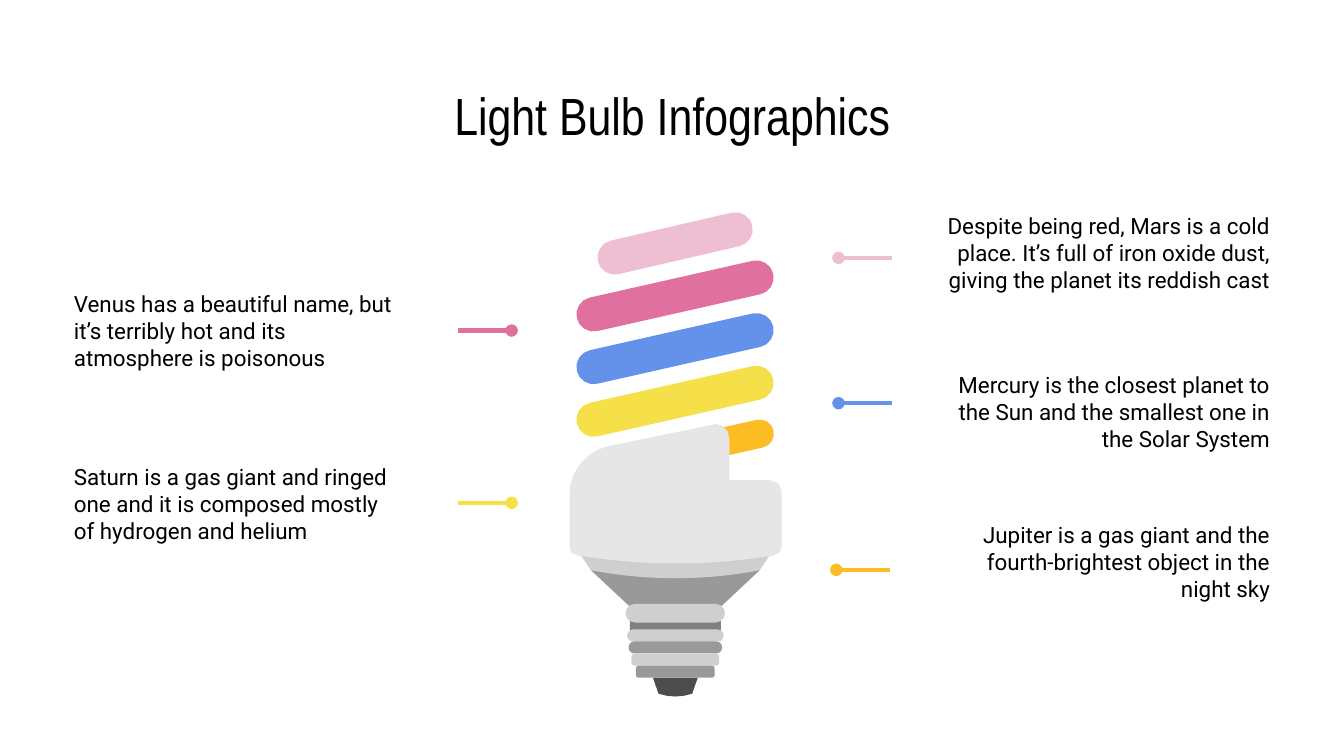
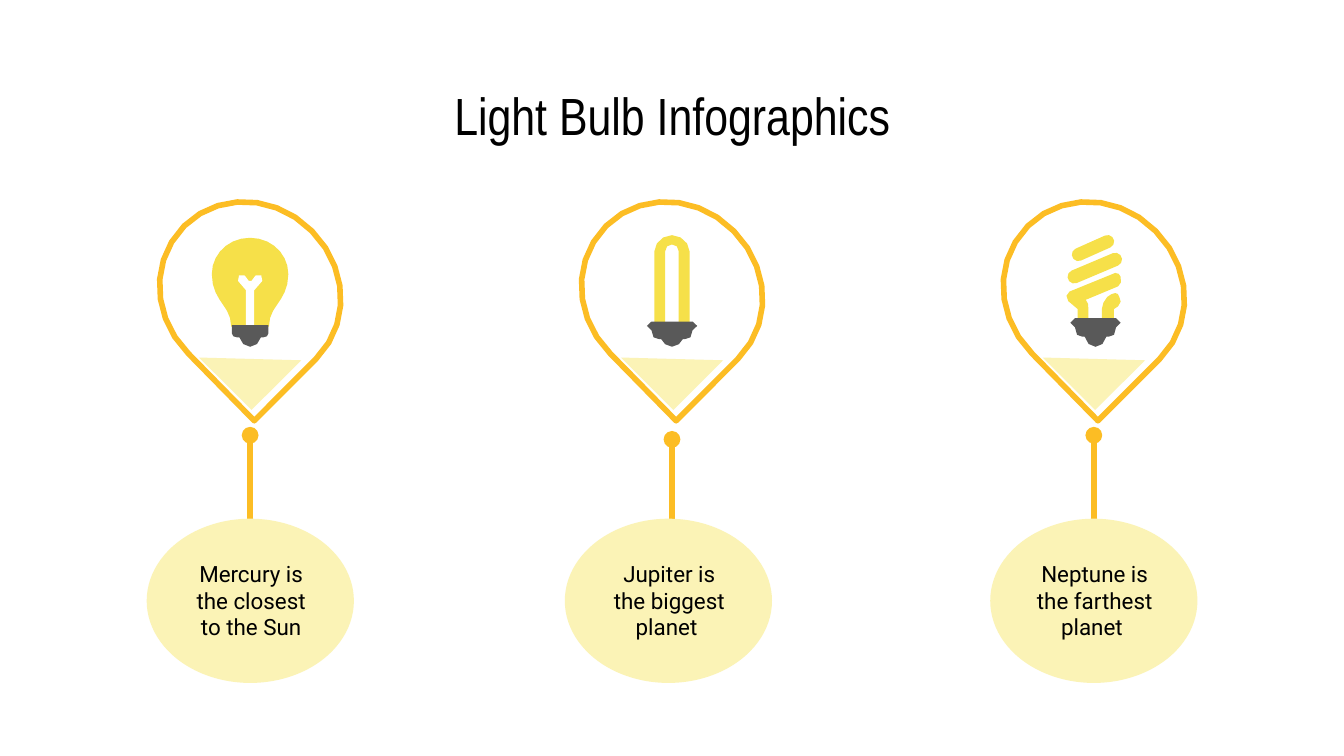
import math

from pptx import Presentation
from pptx.dml.color import RGBColor
from pptx.enum.shapes import MSO_CONNECTOR, MSO_SHAPE
from pptx.enum.text import MSO_ANCHOR, MSO_AUTO_SIZE, PP_ALIGN
from pptx.oxml import parse_xml
from pptx.oxml.ns import nsdecls, qn
from pptx.util import Pt

STRAIGHT = MSO_CONNECTOR.STRAIGHT
OVAL, ROUNDED = MSO_SHAPE.OVAL, MSO_SHAPE.ROUNDED_RECTANGLE
MIDDLE, TOP = MSO_ANCHOR.MIDDLE, MSO_ANCHOR.TOP
LEFT, CENTER, RIGHT = PP_ALIGN.LEFT, PP_ALIGN.CENTER, PP_ALIGN.RIGHT

BLACK = RGBColor(0x00, 0x00, 0x00)
WHITE = RGBColor(0xFF, 0xFF, 0xFF)
PINK = RGBColor(0xEE, 0xBE, 0xD3)
ROSE = RGBColor(0xE0, 0x71, 0x9E)
BLUE = RGBColor(0x64, 0x91, 0xE9)
YELLOW = RGBColor(0xF6, 0xE0, 0x49)
CREAM = RGBColor(0xFB, 0xF3, 0xB6)
ORANGE = RGBColor(0xFC, 0xBD, 0x24)
PALE_GREY = RGBColor(0xE6, 0xE6, 0xE6)
LIGHT_GREY = RGBColor(0xCF, 0xCF, 0xCF)
MID_GREY = RGBColor(0x99, 0x99, 0x99)
NECK_GREY = RGBColor(0x80, 0x80, 0x80)
CAP_GREY = RGBColor(0x59, 0x59, 0x59)
TIP_GREY = RGBColor(0x4D, 0x4D, 0x4D)

TITLE_FONT, BODY_FONT = "Arial Narrow", "Roboto"
TITLE = "Light Bulb Infographics"


# ---- Shared helpers: text, shapes, lines ----
def write(box, words, font=BODY_FONT, size=12, align=LEFT, anchor=MIDDLE, inset=3.6):
    frame = box.text_frame
    frame.word_wrap = True
    frame.auto_size = MSO_AUTO_SIZE.NONE
    frame.vertical_anchor = anchor
    frame.margin_left = frame.margin_right = Pt(inset)
    frame.margin_top = frame.margin_bottom = Pt(inset)
    para = frame.paragraphs[0]
    para.alignment = align
    span = para.add_run()
    span.text = words
    span.font.name, span.font.size = font, Pt(size)
    span.font.color.rgb = BLACK


def add_text(page, words, left, top, width, height, **style):
    box = page.shapes.add_textbox(Pt(left), Pt(top), Pt(width), Pt(height))
    write(box, words, **style)


def paint(shape, fill=None, line=None, weight=3):
    shape.shadow.inherit = False
    if fill is None:
        shape.fill.background()
    else:
        shape.fill.solid()
        shape.fill.fore_color.rgb = fill
    if line is None:
        shape.line.fill.background()
    else:
        shape.line.color.rgb = line
        shape.line.width = Pt(weight)


def add_preset(page, kind, left, top, width, height, fill):
    shape = page.shapes.add_shape(kind, Pt(left), Pt(top), Pt(width), Pt(height))
    paint(shape, fill)
    return shape


def add_dotted_line(page, start, end, color, weight):
    """Line with a round dot at its end."""
    line = page.shapes.add_connector(STRAIGHT, *(Pt(v) for v in (*start, *end)))
    line.line.color.rgb = color
    line.line.width = Pt(weight)
    properties = line._element.spPr
    properties.find(qn("a:ln")).append(
        parse_xml(f'<a:tailEnd {nsdecls("a")} type="oval"/>'))
    properties.append(parse_xml(f'<a:effectLst {nsdecls("a")}/>'))


# ---- Shared helpers: outlines ----
def trace(steps):
    """Turn points (x, y) and curves (x1, y1, x2, y2, x, y) into points."""
    points = []
    for step in steps:
        if len(step) == 2:
            points.append(step)
            continue
        controls = [points[-1], step[:2], step[2:4], step[4:]]
        count = min(7, max(2, round(math.dist(controls[0], controls[3]) / 4)))
        for i in range(1, count + 1):
            t = i / count
            weights = ((1 - t) ** 3, 3 * t * (1 - t) ** 2, 3 * t * t * (1 - t), t ** 3)
            points.append(tuple(sum(w * c[axis] for w, c in zip(weights, controls))
                                for axis in (0, 1)))
    return points


def mirror(half):
    """Complete a left half with its reflection in x = 0."""
    points = trace(half)
    return points + [(-x, y) for x, y in reversed(points) if x]


def capsule(start, end, radius):
    angle = math.atan2(end[1] - start[1], end[0] - start[0])
    count = 8 if radius > 5 else 5
    points = []
    for (x, y), turn in ((start, math.pi / 2), (end, -math.pi / 2)):
        for i in range(count + 1):
            a = angle + turn + math.pi * i / count
            points.append((x + radius * math.cos(a), y + radius * math.sin(a)))
    return points


def rotate(x, y, degrees):
    a = math.radians(degrees)
    return x * math.cos(a) - y * math.sin(a), x * math.sin(a) + y * math.cos(a)


def add_outline(page, origin, points, turn=0, **look):
    """Draw points as they show, stored in a frame turned by some degrees."""
    flat = [rotate(x, y, -turn) for x, y in points]
    middle = [(min(axis) + max(axis)) / 2 for axis in zip(*flat)]
    shown = rotate(*middle, turn)
    left, top = (o + s - m for o, s, m in zip(origin, shown, middle))
    placed = [(Pt(left + x), Pt(top + y)) for x, y in flat]
    builder = page.shapes.build_freeform(*placed[0])
    builder.add_line_segments(placed[1:], close=True)
    shape = builder.convert_to_shape()
    shape.rotation = turn
    paint(shape, **look)


def add_page(deck):
    page = deck.slides.add_slide(deck.slide_layouts[5])
    title = page.shapes.title
    title.left, title.top, title.width, title.height = Pt(225), Pt(42.5), Pt(270), Pt(38)
    write(title, TITLE, font=TITLE_FONT, size=28, align=CENTER, inset=7.2)
    return page


# ---- Slide 1: one large bulb with callouts ----
CONE = [(-45.2, 191.3), (-22.9, 212.2)]
CONE_BAND = [(-51, 182.6), (-45.2, 191.3), (-30, 194.2, -15, 195.6, 0, 195.6)]
NECK = [(-24.4, 217.2), (-24.4, 223.7), (-16, 225.8, -7.5, 226.6, 0, 226.6)]
BULB_TIP = [(-12, 248.9), (-9, 257.5), (-6, 258.5, -3, 259, 0, 259)]
HOUSING = [
    (21, 112.8), (19.6, 113.5), (-36.6, 125),
    (-48.1, 127.9, -56.7, 138.7, -56.7, 150.2), (-56.7, 179),
    (-56.7, 181.2, -55.3, 183.4, -52.4, 183.4),
    (-35.1, 186.2, -17.1, 187.7, 0.2, 187.7),
    (18.2, 187.7, 35.4, 186.2, 52.7, 183.4),
    (54.9, 183.4, 57, 181.2, 57, 179), (57, 148.8),
    (57, 145.9, 54.2, 143, 50.6, 143), (29, 143), (29, 120.7),
    (29, 116.4, 25.4, 112.8, 21, 112.8)]
# width, top, height, corner, colour
RINGS = [(53.3, 209.3, 10, 0.5, LIGHT_GREY), (51.8, 223, 6.5, 0.5, LIGHT_GREY),
         (50.2, 229.4, 6.5, 0.5, MID_GREY), (47, 235.9, 6.5, 0.25, LIGHT_GREY),
         (42.3, 242.4, 6.5, 0.25, MID_GREY)]
TUBE_STEP = 28.2
# side, words, colour, text top, text width, line height, line end
CALLOUTS = [
    (RIGHT, "Despite being red, Mars is a cold place. It’s full of iron oxide dust, "
            "giving the planet its reddish cast", PINK, 109.1, 180, 138.2, 449.2),
    (LEFT, "Venus has a beautiful name, but it’s terribly hot and its atmosphere "
           "is poisonous", ROSE, 150.9, 180, 177.1, 274.1),
    (RIGHT, "Mercury is the closest planet to the Sun and the smallest one in the "
            "Solar System", BLUE, 194.4, 180, 216, 449.2),
    (LEFT, "Saturn is a gas giant and ringed one and it is composed mostly of "
           "hydrogen and helium", YELLOW, 243.4, 180, 269.4, 274.1),
    (RIGHT, "Jupiter is a gas giant and the fourth-brightest object in the night sky",
     ORANGE, 274.7, 171.4, 305.3, 448)]


def draw_large_bulb(page, origin):
    for half, color in ((CONE, MID_GREY), (CONE_BAND, LIGHT_GREY),
                        (NECK, NECK_GREY), (BULB_TIP, TIP_GREY)):
        add_outline(page, origin, mirror(half), fill=color)
    for width, top, height, corner, color in RINGS:
        ring = add_preset(page, ROUNDED, origin[0] - width / 2, origin[1] + top,
                          width, height, color)
        ring.adjustments[0] = corner
    # Coloured spiral, then the housing over the end of its last turn
    add_outline(page, origin, capsule((22, 123.4), (45.2, 118.2), 7.6), fill=ORANGE)
    for i, color in enumerate((ROSE, BLUE, YELLOW)):
        drop = i * TUBE_STEP
        tube = capsule((-43.8, 54.2 + drop), (43.5, 34.5 + drop), 9.2)
        add_outline(page, origin, tube, fill=color)
    add_outline(page, origin, capsule((-32.5, 23.7), (32.3, 8.7), 9.2), fill=PINK)
    add_outline(page, origin, trace(HOUSING), fill=PALE_GREY)


def draw_callout(page, side, words, color, top, width, line_y, line_end):
    left, outward = (36, -28.8) if side == LEFT else (684 - width, 28.8)
    add_text(page, words, left, top, width, 52.5, align=side)
    add_dotted_line(page, (line_end + outward, line_y), (line_end, line_y), color, 2.25)


def build_spiral_slide(deck):
    page = add_page(deck)
    draw_large_bulb(page, (361.8, 114.2))
    for callout in CALLOUTS:
        draw_callout(page, *callout)


# ---- Slide 2: three pins with bulb icons ----
PIN = [(2.2, 119.4), (-33.1, 83.4), (-52.6, 63.9, -54, 33.7, -35.3, 15),
       (-17.3, -3, 13.7, -2.3, 33.1, 17.8), (52.6, 37.3, 54, 67.5, 35.3, 86.2)]
WEDGE = [(0.7, 113.6), (-27.4, 85.5), (27.4, 87)]
PIN_TURN = 225
GLASS = [(0, 21.4), (-11.5, 21.4, -20.5, 30.1, -20.5, 40.9),
         (-20.5, 48.8, -17.3, 53.1, -14.4, 57.4),
         (-12.2, 60.3, -10.1, 63.9, -10.1, 69)]
FILAMENT = [(0, 44.5), (-0.7, 44.5), (-2.9, 41.6), (-4.7, 40, -8, 42, -6.5, 44.5),
            (-2.2, 49.5), (-2.2, 70.4), (-2.2, 71.8, -1.4, 72.6, 0, 72.6)]
GLASS_CAP = [(-9.8, 68.2), (-9.8, 72.6), (-9.8, 74, -8.6, 74.7, -7.2, 74.7),
             (-5.8, 74.7), (-5, 77.6, -2.9, 79.8, 0, 79.8)]
ARCH = [(0, 20), (-5, 20, -9.4, 24.3, -9.4, 28.6), (-9.4, 67.5), (-3.6, 67.5),
        (-3.6, 28.6), (-3.6, 26.5, -2.2, 25, -0.01, 25)]
LONG_LEG = [(11.5, 40.2), (-13, 50.2), (-14.4, 51, -15.8, 53.8, -13.7, 55.3),
            (-8.6, 59.6), (-8.6, 65.4), (-2.9, 65.4), (-2.9, 59.6),
            (-2.9, 57.4, -2.9, 56, -4.3, 54.6), (13, 47.4),
            (14.4, 46.6, 15.1, 44.5, 14.4, 42.3), (14, 40.9, 13, 40.2, 11.5, 40.2)]
SHORT_LEG = [(11.5, 51), (9.4, 51.7), (7.2, 53.1),
             (5.8, 54.6, 4.3, 57.4, 4.3, 59.6), (4.3, 65.4), (10.8, 65.4),
             (10.8, 59.6), (13, 58.2), (14.4, 56.7, 15.1, 54.6, 13.7, 53.1),
             (13.7, 51.7, 12.2, 51, 11.5, 51)]


def draw_stepped_cap(page, origin, top, step):
    half = [(-11, top), (-14.3, top, -14.3, top + step, -11, top + step),
            (-11, top + 1.8 * step, -9.4, top + 2 * step, -7, top + 2 * step),
            (-5.8, top + 2 * step), (-5, 77.6, -2.9, 79.8, 0, 79.8)]
    add_outline(page, origin, mirror(half), fill=CAP_GREY)


def draw_classic_icon(page, origin):
    for half, color in ((GLASS, YELLOW), (FILAMENT, WHITE), (GLASS_CAP, CAP_GREY)):
        add_outline(page, origin, mirror(half), fill=color)


def draw_arch_icon(page, origin):
    add_outline(page, origin, mirror(ARCH), fill=YELLOW)
    draw_stepped_cap(page, origin, 66.3, 4.7)


def draw_spiral_icon(page, origin):
    for points in (capsule((-10.5, 42.3), (11.5, 33), 3.6),
                   capsule((-8.3, 30.4), (7.4, 23.4), 3.5),
                   trace(LONG_LEG), trace(SHORT_LEG)):
        add_outline(page, origin, points, fill=YELLOW)
    draw_stepped_cap(page, (origin[0] + 0.9, origin[1]), 64.4, 5)


# centre, oval centre, stem top, words, icon
PINS = [(134, 134.1, 233.2, "Mercury is the closest to the Sun", draw_classic_icon),
        (360, 358.1, 235.4, "Jupiter is the biggest planet ", draw_arch_icon),
        (586, 586, 233.2, "Neptune is the farthest planet ", draw_spiral_icon)]


def draw_pin(page, center, oval_center, stem_top, words, draw_icon):
    origin = (center, 106)
    add_outline(page, origin, trace(PIN), turn=PIN_TURN, line=ORANGE)
    add_outline(page, origin, WEDGE, turn=PIN_TURN, fill=CREAM)
    draw_icon(page, origin)
    add_dotted_line(page, (center, stem_top + 44.6), (center, stem_top), ORANGE, 3)
    add_preset(page, OVAL, oval_center - 55.5, 277.9, 111, 88, CREAM)
    add_text(page, words, oval_center - 39.5, 292.7, 80, 58.3,
             align=CENTER, anchor=TOP, inset=7.2)


def build_pin_slide(deck):
    page = add_page(deck)
    for pin in PINS:
        draw_pin(page, *pin)


def main():
    deck = Presentation()
    deck.slide_width, deck.slide_height = Pt(720), Pt(405)
    build_spiral_slide(deck)
    build_pin_slide(deck)
    deck.save("out.pptx")


if __name__ == "__main__":
    main()
